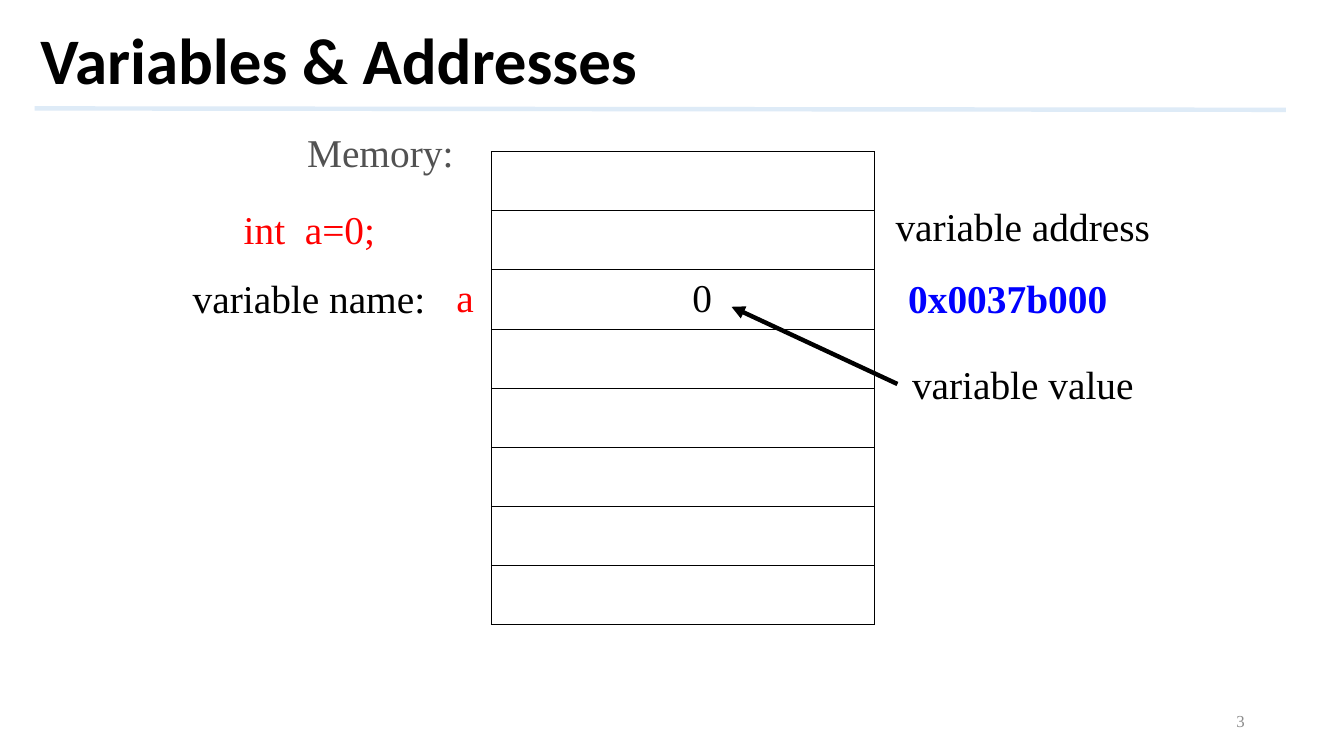
from lxml.etree import SubElement
from pptx import Presentation
from pptx.dml.color import RGBColor
from pptx.enum.shapes import MSO_CONNECTOR
from pptx.enum.text import MSO_ANCHOR, PP_ALIGN
from pptx.oxml import parse_xml
from pptx.oxml.ns import nsdecls, qn
from pptx.util import Pt

BLACK = RGBColor(0x00, 0x00, 0x00)
RED = RGBColor(0xFF, 0x00, 0x00)
BLUE = RGBColor(0x00, 0x00, 0xFF)
DARK_GRAY = RGBColor(0x52, 0x52, 0x52)
GRAY = RGBColor(0x8C, 0x8C, 0x8C)
PALE_BLUE = RGBColor(0xDE, 0xEB, 0xF7)

EMU_PER_PX = 9144  # 100 px to the inch
MEMORY_CELLS = 8


def px(length):
    return length * EMU_PER_PX


class SlideBuilder:
    """Holds the slide and the fonts shared by its elements."""

    heading_font = "Calibri"
    body_font = "Times New Roman"

    def __init__(self, slide):
        self.slide = slide

    def text(self, content, box, size, color=BLACK, font=body_font, bold=False,
             align=PP_ALIGN.LEFT, line_spacing=None, inset=None):
        shape = self.slide.shapes.add_textbox(*map(px, box))
        frame = shape.text_frame
        frame.word_wrap = True
        frame.vertical_anchor = MSO_ANCHOR.MIDDLE
        if inset is not None:
            frame.margin_left = frame.margin_right = px(inset)
            frame.margin_top = frame.margin_bottom = px(inset)
        frame.text = content
        paragraph = frame.paragraphs[0]
        paragraph.alignment = align
        paragraph.line_spacing = line_spacing
        run_font = paragraph.runs[0].font
        run_font.name = font
        run_font.size = Pt(size)
        run_font.bold = bold
        run_font.color.rgb = color

    def title(self, content, box):
        self.text(content, box, 66, font=self.heading_font, bold=True, line_spacing=0.9)

    def label(self, content, box, color=BLACK, bold=False):
        self.text(content, box, 40, color, bold=bold, align=PP_ALIGN.CENTER,
                  line_spacing=Pt(48), inset=6)

    def line(self, start, end, color, arrow=False):
        connector = self.slide.shapes.add_connector(
            MSO_CONNECTOR.STRAIGHT, *map(px, start + end))
        connector.line.color.rgb = color
        connector.line.width = Pt(4.5)
        if arrow:
            SubElement(connector.line._get_or_add_ln(), qn("a:tailEnd"), type="triangle")
        SubElement(connector._element.spPr, qn("a:effectLst"))

    def memory_table(self, left, top, width, height, rows):
        table = self.slide.shapes.add_table(
            rows, 1, px(left), px(top), px(width), px(height)).table
        table.first_row = table.horz_banding = False
        for row in table.rows:
            row.height = px(height) // rows
            self.outline_cell(row.cells[0])

    def outline_cell(self, cell):
        cell.fill.background()
        properties = cell._tc.get_or_add_tcPr()
        for index, side in enumerate(("lnL", "lnR", "lnT", "lnB")):
            properties.insert(index, parse_xml(
                f'<a:{side} {nsdecls("a")} w="{Pt(1)}"><a:solidFill>'
                f'<a:srgbClr val="{BLACK}"/></a:solidFill></a:{side}>'))


def main():
    presentation = Presentation()
    presentation.slide_width = px(1896)
    presentation.slide_height = px(1067)
    builder = SlideBuilder(presentation.slides.add_slide(presentation.slide_layouts[6]))

    builder.line((49, 153), (1814, 155), PALE_BLUE)
    builder.title("Variables & Addresses", (47, 6, 1849, 167))
    builder.text("3", (1339, 989, 427, 57), 17.1, GRAY, align=PP_ALIGN.RIGHT)

    builder.memory_table(693, 214, 540, 668, MEMORY_CELLS)

    builder.label("Memory:", (413, 175, 247, 79), DARK_GRAY)
    builder.label("int  a=0;", (259, 283, 355, 79), RED)
    builder.label("variable name:", (249, 381, 374, 78))
    builder.label("a", (612, 379, 88, 79), RED)
    builder.label("0", (889, 380, 203, 79))
    builder.label("variable address", (1195, 280, 496, 78))
    builder.label("0x0037b000", (1259, 381, 325, 79), BLUE, bold=True)
    builder.label("variable value", (1195, 503, 496, 78))
    builder.line((1266, 542), (1032, 433), BLACK, arrow=True)

    presentation.save("out.pptx")


if __name__ == "__main__":
    main()
